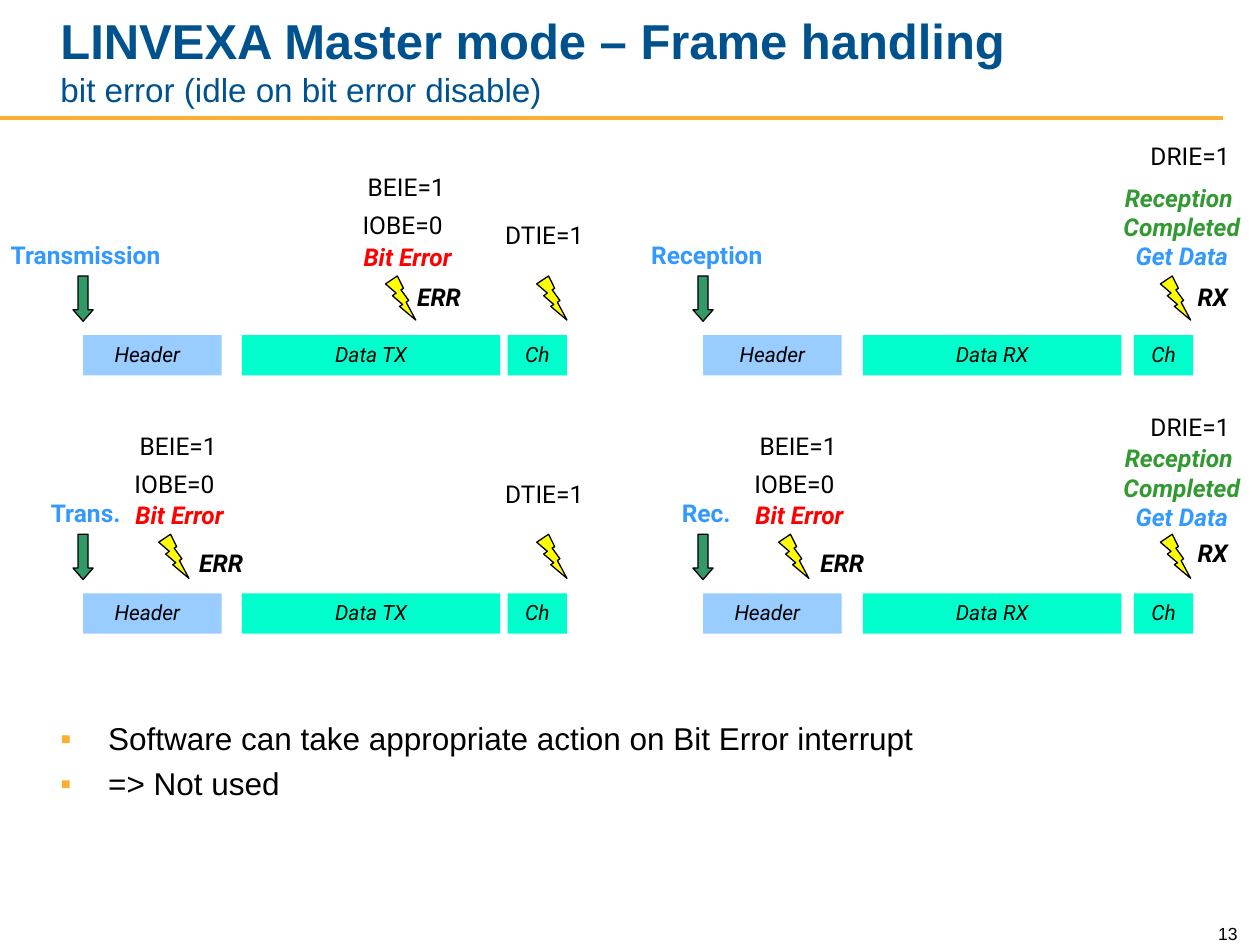
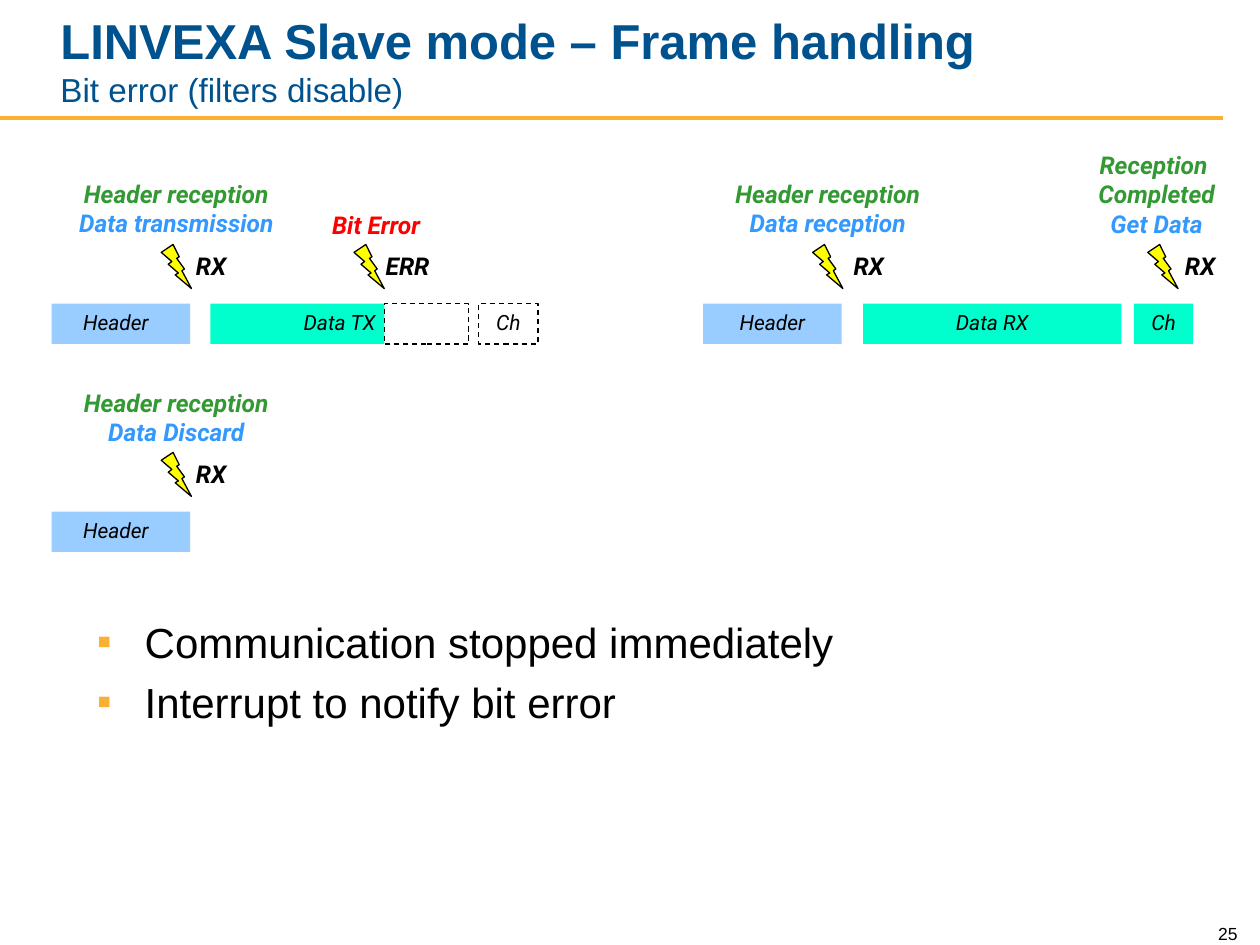
from pptx import Presentation
from pptx.dml.color import RGBColor
from pptx.enum.dml import MSO_LINE
from pptx.enum.shapes import MSO_CONNECTOR, MSO_SHAPE as SHAPE
from pptx.enum.text import MSO_ANCHOR as ANCHOR, MSO_AUTO_SIZE, PP_ALIGN as ALIGN
from pptx.oxml import parse_xml
from pptx.oxml.ns import nsdecls
from pptx.util import Inches, Pt

COLORS = {
    "title": "00528E", "accent": "FBB034", "text": "000000",
    "header": "99CCFF", "data": "00FFCC", "arrow": "339966", "bolt": "FFFF00",
    "action": "3399FF", "done": "339933", "error": "FF0000",
}

# Text formats: font values plus a colour key
FORMATS = {
    "title": dict(name="Arial", size=Pt(28), bold=True, color="title"),
    "subtitle": dict(name="Arial", size=Pt(19), bold=False, color="title"),
    "page": dict(name="Arial", size=Pt(10), color="text"),
    "body": dict(name="Arial", color="text"),
    "block": dict(name="Roboto", size=Pt(12), italic=True, color="text"),
    "flag": dict(name="Roboto", size=Pt(14), color="text"),
    "start": dict(name="Roboto", size=Pt(14), bold=True, color="action"),
}
for event, color in dict(irq="text", action="action", done="done", error="error").items():
    FORMATS[event] = dict(name="Roboto", size=Pt(14), bold=True, italic=True, color=color)

BLOCK_HEIGHT = 0.32
SIGNAL_RISE = 0.47  # from the top of a frame up to its arrows and bolts
RECEIVED = [("done", "Reception "), ("done", "Completed"), ("action", "Get Data")]
HEADER_DONE = ("done", "Header reception")

# Frame: top, start arrow, bolts, blocks (fill, left, width, label, left and right inset)
# Label: left, top, width, lines of (format, text)
SLIDES = [
    dict(
        title="LINVEXA Master mode – Frame handling",
        subtitle="bit error (idle on bit error disable)",
        page="13",
        body=(0.38, 5.66, 9.08, 1.01), body_size=18,
        bullets=["Software can take appropriate action on Bit Error interrupt",
                 "=> Not used"],
        frames=[
            (top, start, bolts, [
                ("header", left, 1.1, "Header", 0, inset),
                ("data", data_left, 2.05, data, 0, 0),
                ("data", check_left, 0.47, "Ch", 0, 0)])
            for top, start, bolts, left, inset, data_left, data, check_left in [
                (2.66, 0.58, [3.06, 4.26], 0.66, 0.08, 1.92, "Data TX", 4.03),
                (2.66, 5.5, [9.21], 5.58, 0, 6.85, "Data RX", 9),
                (4.71, 0.58, [1.26, 4.26], 0.66, 0.08, 1.92, "Data TX", 4.03),
                (4.71, 5.5, [6.18, 9.21], 5.58, 0.08, 6.85, "Data RX", 9),
            ]
        ],
        labels=[
            (-0.05, 1.86, 1.46, [("start", "Transmission")]),
            (5.04, 1.86, 1.14, [("start", "Reception")]),
            (0.29, 3.9, 0.78, [("start", "Trans.")]),
            (5.3, 3.9, 0.61, [("start", "Rec.")]),
            (9, 1.07, 0.89, [("flag", "DRIE=1")]),
            (9, 3.22, 0.89, [("flag", "DRIE=1")]),
            (3.89, 1.7, 0.86, [("flag", "DTIE=1")]),
            (3.89, 3.75, 0.86, [("flag", "DTIE=1")]),
            (8.78, 1.4, 1.2, RECEIVED),
            (8.78, 3.47, 1.2, RECEIVED),
            (3.18, 2.19, 0.61, [("irq", "ERR")]),
            (1.45, 4.3, 0.61, [("irq", "ERR")]),
            (6.38, 4.3, 0.61, [("irq", "ERR")]),
            (9.39, 2.19, 0.47, [("irq", "RX")]),
            (9.39, 4.22, 0.47, [("irq", "RX")]),
        ] + [
            (left + shift, top + drop, width, [line])
            for left, top in [(2.74, 1.32), (0.93, 3.37), (5.85, 3.37)]
            for shift, drop, width, line in [
                (0.05, 0, 0.87, ("flag", "BEIE=1")),
                (0.01, 0.3, 0.89, ("flag", "IOBE=0")),
                (0, 0.55, 0.99, ("error", "Bit Error")),
            ]
        ],
    ),
    dict(
        title="LINVEXA Slave mode – Frame handling",
        subtitle="Bit error (filters disable)",
        page="25",
        body=(0.67, 4.84, 8.65, 1.83), body_size=24,
        bullets=["Communication stopped immediately", "Interrupt to notify bit error"],
        frames=[
            (2.41, None, [1.28, 2.81], [
                ("header", 0.41, 1.1, "Header", 0, 0.08),
                ("data", 1.67, 1.38, "Data TX", 0.67, 0),
                (None, 3.05, 0.67, "", 0, 0),
                (None, 3.8, 0.47, "Ch", 0, 0)]),
            (2.41, None, [6.45, 9.11], [
                ("header", 5.58, 1.1, "Header", 0, 0),
                ("data", 6.85, 2.05, "Data RX", 0, 0),
                ("data", 9, 0.47, "Ch", 0, 0)]),
            (4.06, None, [1.28], [("header", 0.41, 1.1, "Header", 0, 0.08)]),
        ],
        labels=[
            (0.46, 1.37, 1.88, [HEADER_DONE, ("action", "Data transmission")]),
            (5.68, 1.37, 1.78, [HEADER_DONE, ("action", "Data reception")]),
            (0.51, 3.03, 1.78, [HEADER_DONE, ("action", "Data Discard")]),
            (2.49, 1.62, 0.99, [("error", "Bit Error")]),
            (8.58, 1.14, 1.2, RECEIVED),
            (1.44, 1.94, 0.47, [("irq", "RX")]),
            (2.93, 1.94, 0.61, [("irq", "ERR")]),
            (6.66, 1.94, 0.47, [("irq", "RX")]),
            (9.29, 1.94, 0.47, [("irq", "RX")]),
            (1.44, 3.59, 0.47, [("irq", "RX")]),
        ],
    ),
]


def write(text_frame, lines, align=ALIGN.CENTER, anchor=ANCHOR.TOP, wrap=True):
    """Fill a text frame with one paragraph per (format, text) line."""
    text_frame.auto_size = MSO_AUTO_SIZE.NONE
    text_frame.word_wrap = wrap
    text_frame.vertical_anchor = anchor
    for number, (fmt, text) in enumerate(lines):
        para = text_frame.add_paragraph() if number else text_frame.paragraphs[0]
        para.alignment = align
        run = para.add_run()
        run.text = text
        for key, value in FORMATS[fmt].items():
            if key == "color":
                run.font.color.rgb = RGBColor.from_string(COLORS[value])
            else:
                setattr(run.font, key, value)


def draw(slide, preset, box, fill, outlined):
    """Add a preset shape with a flat fill and an optional thin outline."""
    shape = slide.shapes.add_shape(preset, *map(Inches, box))
    shape.shadow.inherit = False
    if fill:
        shape.fill.solid()
        shape.fill.fore_color.rgb = RGBColor.from_string(COLORS[fill])
    else:
        shape.fill.background()
    if outlined:
        shape.line.color.rgb = RGBColor.from_string(COLORS["text"])
        shape.line.width = Pt(0.75)
    else:
        shape.line.fill.background()
    return shape


prs = Presentation()
prs.slide_width, prs.slide_height = Inches(10), Inches(7.5)

for content in SLIDES:
    slide = prs.slides.add_slide(prs.slide_layouts[5])

    # Title, rule and page number
    title = slide.shapes.title
    title.left, title.top, title.width, title.height = map(Inches, (0.38, 0.17, 8.17, 0.75))
    write(title.text_frame, [(part, content[part]) for part in ("title", "subtitle")],
          ALIGN.LEFT, ANCHOR.BOTTOM)
    rule = slide.shapes.add_connector(
        MSO_CONNECTOR.STRAIGHT, 0, Inches(0.94), Inches(9.71), Inches(0.94))
    rule.line.color.rgb = RGBColor.from_string(COLORS["accent"])
    rule.line.width = Pt(2.25)
    rule._element.spPr.append(parse_xml(f"<a:effectLst {nsdecls('a')}/>"))
    page = slide.shapes.add_textbox(*map(Inches, (9.42, 7.24, 0.5, 0.3)))
    write(page.text_frame, [("page", content["page"])], ALIGN.RIGHT, ANCHOR.BOTTOM)

    # Bullets
    body = slide.shapes.add_textbox(*map(Inches, content["body"]))
    write(body.text_frame, [("body", text) for text in content["bullets"]], ALIGN.LEFT)
    for number, para in enumerate(body.text_frame.paragraphs):
        props = para._p.get_or_add_pPr()
        props.set("marL", str(Inches(0.38)))
        props.set("indent", str(-Inches(0.38)))
        for bullet in (f'<a:buClr {nsdecls("a")}><a:srgbClr val="{COLORS["accent"]}"/></a:buClr>',
                       f'<a:buFont {nsdecls("a")} typeface="Arial"/>',
                       f'<a:buChar {nsdecls("a")} char="▪"/>'):
            props.append(parse_xml(bullet))
        para.runs[0].font.size = Pt(content["body_size"])
        if number:
            para.space_before = Pt(round(content["body_size"] * 0.23, 1))

    # Frames: blocks, start arrow and interrupt bolts
    for top, start, bolts, blocks in content["frames"]:
        for fill, left, width, label, inset_left, inset_right in blocks:
            block = draw(slide, SHAPE.RECTANGLE, (left, top, width, BLOCK_HEIGHT),
                         fill, outlined=fill is None)
            if fill is None:
                block.line.dash_style = MSO_LINE.DASH
            if label:
                block_text = block.text_frame
                block_text.margin_left = Inches(inset_left)
                block_text.margin_right = Inches(inset_right)
                write(block_text, [("block", label)])
        if start is not None:
            arrow = draw(slide, SHAPE.DOWN_ARROW, (start, top - SIGNAL_RISE, 0.16, 0.36),
                         "arrow", outlined=True)
            arrow.adjustments[1] = 0.57
        for left in bolts:
            draw(slide, SHAPE.LIGHTNING_BOLT, (left, top - SIGNAL_RISE, 0.24, 0.35),
                 "bolt", outlined=True)

    # Event labels
    for left, top, width, lines in content["labels"]:
        height = 0.1 + 0.23 * len(lines)
        label = slide.shapes.add_textbox(*map(Inches, (left, top, width, height)))
        write(label.text_frame, lines, wrap=False)

prs.save("out.pptx")
